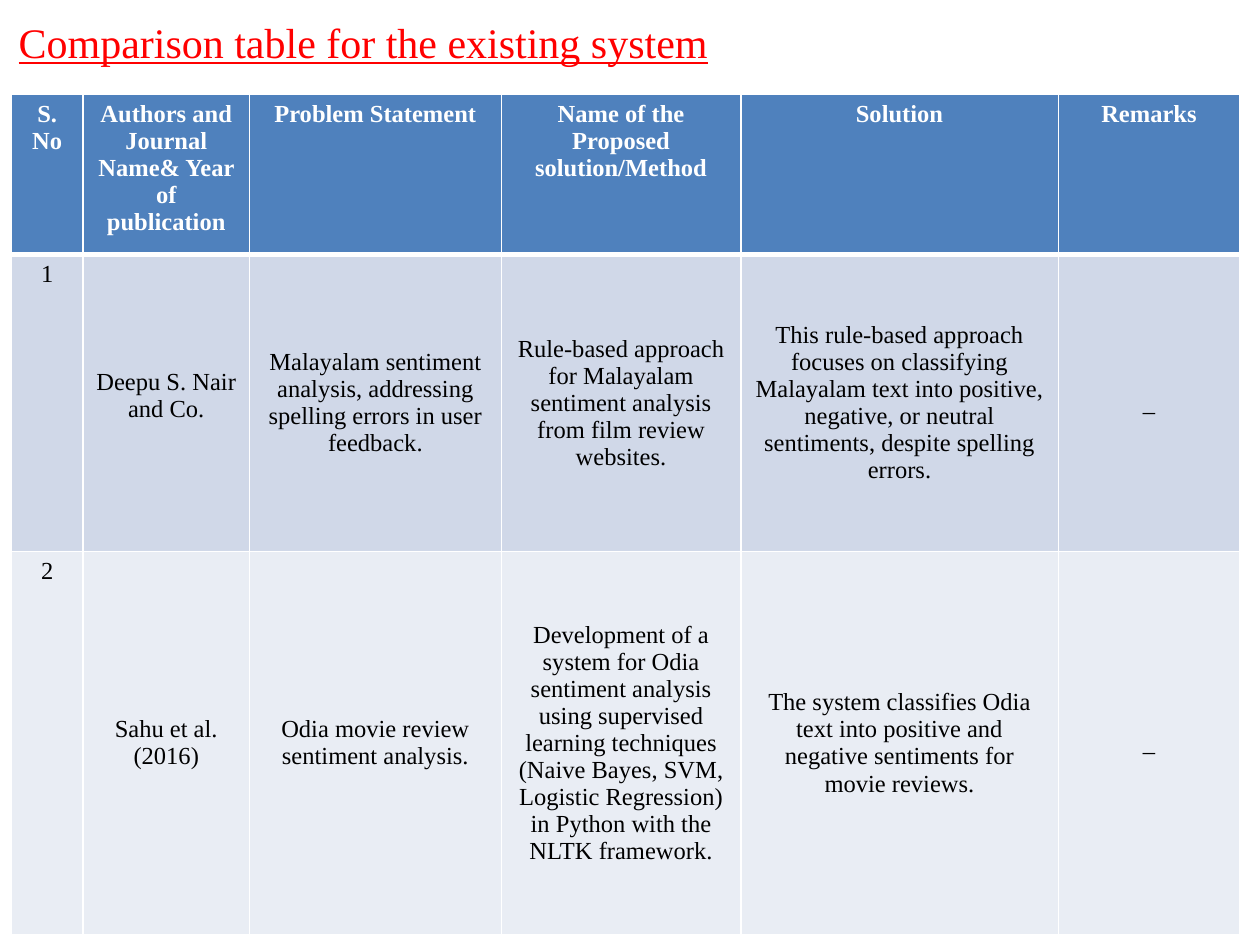
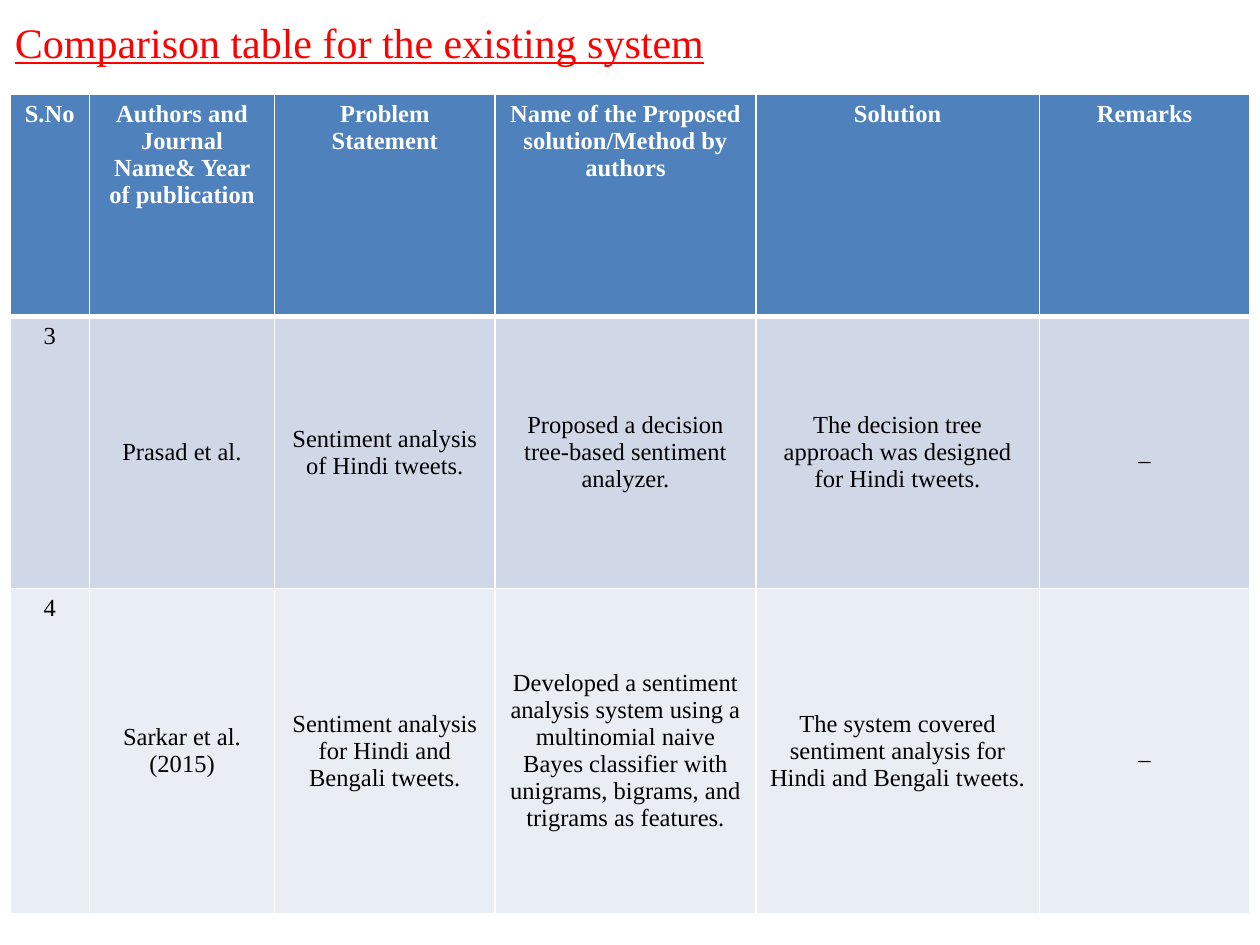
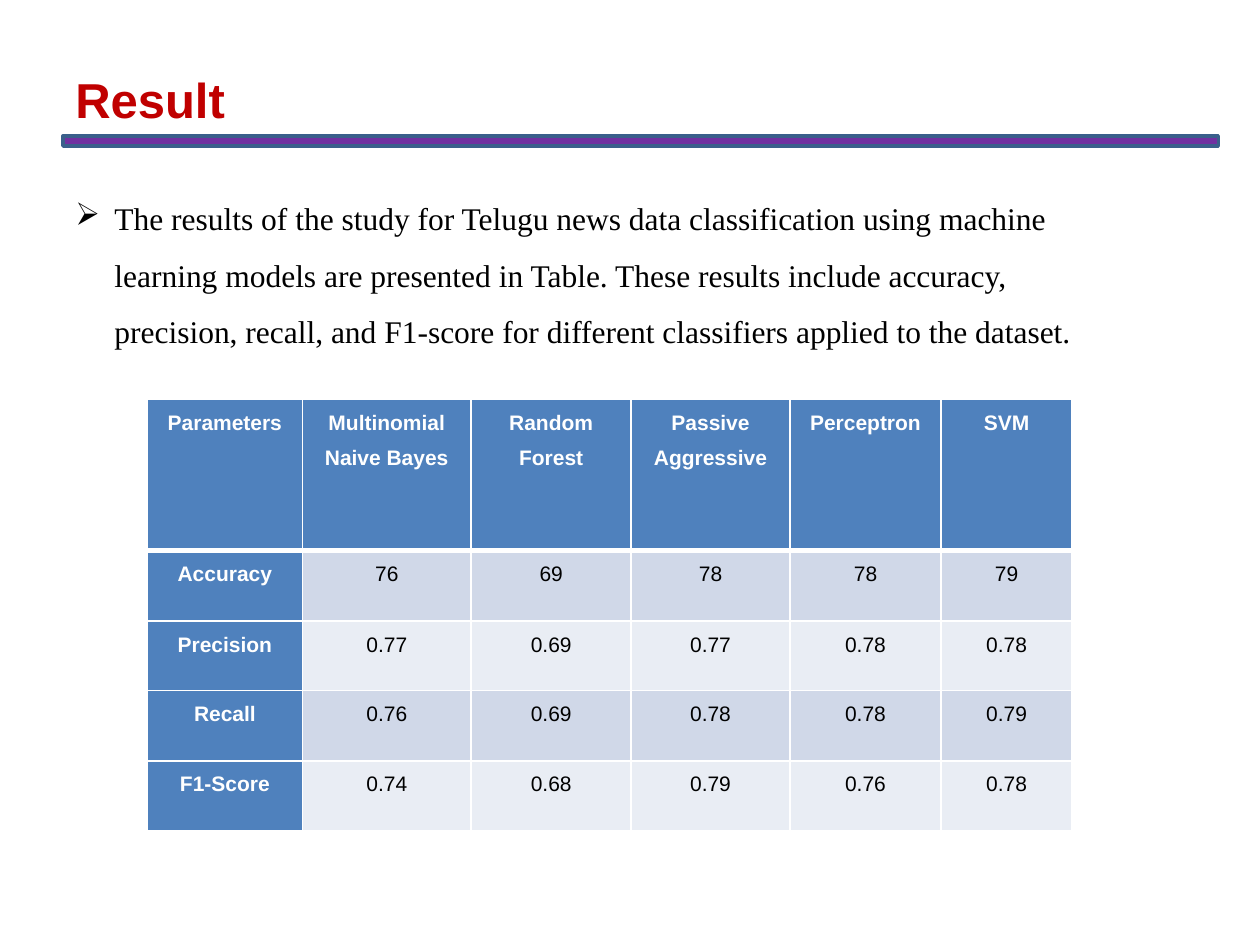
import pptx
import pptx.util
import pptx.dml.color
import pptx.enum.shapes
import pptx.enum.text
import pptx.oxml.ns
import lxml.etree

Inches, Pt = pptx.util.Inches, pptx.util.Pt
ANCHOR = pptx.enum.text.MSO_ANCHOR
ALIGN = pptx.enum.text.PP_ALIGN

COLORS = {
    "red": "FF0000", "dark_red": "C00000", "purple": "7030A0", "edge": "3A5F8B",
    "header": "4F81BD", "band_dark": "D0D8E8", "band_light": "E9EDF4",
    "white": "FFFFFF", "black": "000000",
}
SERIF, SANS = "Times New Roman", "Arial"

SURVEY_TITLE = "Comparison table for the existing system"
SURVEYS = [
    {
        "title_left": 0.05, "left": 0.09,
        "cols": [0.57, 1.32, 2, 1.9, 2.52, 1.44],
        "heights": [1.26, 2.36, 3.04],
        "tops": {(1, 1): 0.91},
        "rows": [
            ["S.\nNo", "Authors and Journal Name& Year of publication", "Problem Statement",
             "Name of the Proposed solution/Method", "Solution", "Remarks"],
            ["1", "Deepu S. Nair and Co.",
             "Malayalam sentiment analysis, addressing spelling errors in user feedback.",
             "Rule-based approach for Malayalam sentiment analysis from film review websites.",
             "This rule-based approach focuses on classifying Malayalam text into positive, "
             "negative, or neutral sentiments, despite spelling errors.", "_"],
            ["2", "Sahu et al.\n(2016)", "Odia movie review sentiment analysis.",
             "Development of a system for Odia sentiment analysis using supervised learning "
             "techniques (Naive Bayes, SVM, Logistic Regression) in Python with the NLTK framework.",
             "The system classifies Odia text into positive and negative sentiments for "
             "movie reviews.", "_"],
        ],
    },
    {
        "title_left": 0.02, "left": 0.08,
        "cols": [0.63, 1.47, 1.75, 2.07, 2.25, 1.67],
        "heights": [1.76, 2.16, 2.58],
        "tops": {},
        "rows": [
            ["S.No", "Authors and Journal Name& Year of publication", "Problem Statement",
             "Name of the Proposed solution/Method by authors", "Solution", "Remarks"],
            ["3", "Prasad et al.", "Sentiment analysis of Hindi tweets.",
             "Proposed a decision tree-based sentiment analyzer.",
             "The decision tree approach was designed for Hindi tweets.", "_"],
            ["4", "Sarkar et al.\n(2015)", "Sentiment analysis for Hindi and Bengali tweets.",
             "Developed a sentiment analysis system using a multinomial naive Bayes classifier "
             "with unigrams, bigrams, and trigrams as features.",
             "The system covered sentiment analysis for Hindi and Bengali tweets.", "_"],
        ],
    },
]

RESULT_TITLE = "Result"
RESULT_TEXT = (
    "The results of the study for Telugu news data classification using machine learning "
    "models are presented in Table. These results include accuracy, precision, recall, and "
    "F1-score for different classifiers applied to the dataset.")
RESULT_COLS = [1.23, 1.34, 1.27, 1.26, 1.2, 1.04]
RESULT_HEIGHTS = [1.2, 0.56, 0.55, 0.56, 0.55]
RESULT_ROWS = [
    ["Parameters", "Multinomial Naive Bayes", "Random Forest", "Passive Aggressive",
     "Perceptron", "SVM"],
    ["Accuracy", "76", "69", "78", "78", "79"],
    ["Precision", "0.77", "0.69", "0.77", "0.78", "0.78"],
    ["Recall", "0.76", "0.69", "0.78", "0.78", "0.79"],
    ["F1-Score", "0.74", "0.68", "0.79", "0.76", "0.78"],
]


def rgb(name):
    """Return the named colour."""
    return pptx.dml.color.RGBColor.from_string(COLORS[name])


def put_text(tf, text, size=14, font=SERIF, color="black", bold=False, underline=False,
             align=None, spacing=None, bullet=None):
    """Write text into a frame, one paragraph a line."""
    tf.word_wrap = True
    for i, line in enumerate(text.split("\n")):
        p = tf.add_paragraph() if i else tf.paragraphs[0]
        p.alignment = align
        if spacing:
            p.line_spacing = spacing
        if bullet:
            pPr = p._p.get_or_add_pPr()
            pPr.set("marL", str(Inches(0.31)))
            pPr.set("indent", str(-Inches(0.31)))
            bu = lxml.etree.SubElement(pPr, pptx.oxml.ns.qn("a:buChar"))
            bu.set("char", bullet)
        r = p.add_run()
        r.text = line
        r.font.size, r.font.name = Pt(size), font
        r.font.bold, r.font.underline = bold, underline
        r.font.color.rgb = rgb(color)


def add_text(s, box, text, **style):
    """Add a text box that fits its text."""
    tf = s.shapes.add_textbox(*map(Inches, box)).text_frame
    put_text(tf, text, **style)
    tf.auto_size = pptx.enum.text.MSO_AUTO_SIZE.SHAPE_TO_FIT_TEXT


def add_borders(cell, widths):
    """Give a cell white edges; widths maps an edge letter to points."""
    tcPr = cell._tc.get_or_add_tcPr()
    for edge, width in widths.items():
        ln = lxml.etree.SubElement(tcPr, pptx.oxml.ns.qn("a:ln" + edge))
        ln.set("w", str(Pt(width)))
        fill = lxml.etree.SubElement(ln, pptx.oxml.ns.qn("a:solidFill"))
        clr = lxml.etree.SubElement(fill, pptx.oxml.ns.qn("a:srgbClr"))
        clr.set("val", COLORS["white"])


def add_grid(s, left, top, cols, heights, rows, head_col=False, middle=False, inset=None,
             tops=None, **style):
    """Add a banded table with a header row and, if asked, a header column."""
    box = left, top, sum(cols), sum(heights)
    table = s.shapes.add_table(len(rows), len(cols), *map(Inches, box)).table
    table.first_col = head_col
    for column, width in zip(table.columns, cols):
        column.width = Inches(width)
    for i, (row, height) in enumerate(zip(rows, heights)):
        table.rows[i].height = Inches(height)
        for j, text in enumerate(row):
            cell = table.cell(i, j)
            head = i == 0 or (head_col and j == 0)
            add_borders(cell, {"L": 1, "R": 1, "T": 3 if i == 1 else 1, "B": 1 if i else 3})
            cell.fill.solid()
            cell.fill.fore_color.rgb = rgb(
                "header" if head else "band_dark" if i % 2 else "band_light")
            if inset:
                cell.margin_left = cell.margin_right = Inches(inset)
                cell.margin_top = cell.margin_bottom = 0
            if tops and (i, j) in tops:
                cell.margin_top = Inches(tops[i, j])
            elif middle and i and j:
                cell.vertical_anchor = ANCHOR.MIDDLE
            put_text(cell.text_frame, text, color="white" if head else "black", bold=head,
                     align=ALIGN.CENTER, **style)


def survey_slide(prs, survey):
    """Build one slide of the literature comparison."""
    s = prs.slides.add_slide(prs.slide_layouts[6])
    add_text(s, (survey["title_left"], 0.08, 9.83, 0.5), SURVEY_TITLE, size=24, color="red",
             underline=True)
    add_grid(s, survey["left"], 0.75, survey["cols"], survey["heights"], survey["rows"],
             middle=True, tops=survey["tops"])


def result_slide(prs):
    """Build the slide with the classifier scores."""
    s = prs.slides.add_slide(prs.slide_layouts[6])
    rule = s.shapes.add_shape(pptx.enum.shapes.MSO_SHAPE.RECTANGLE,
                              *map(Inches, (0.5, 1.08, 9.17, 0.08)))
    rule.shadow.inherit = False
    rule.fill.solid()
    rule.fill.fore_color.rgb = rgb("purple")
    rule.line.color.rgb = rgb("edge")
    rule.line.width = Pt(2)
    add_text(s, (0.5, 0.5, 3.33, 0.57), RESULT_TITLE, size=28, font=SANS, color="dark_red",
             bold=True)
    add_text(s, (0.5, 1.38, 8.42, 1.41), RESULT_TEXT, size=18, spacing=1.5, bullet="\u27a2")
    add_grid(s, 1.17, 3.17, RESULT_COLS, RESULT_HEIGHTS, RESULT_ROWS, head_col=True,
             inset=0.07, size=12, font=SANS, spacing=1.5)


prs = pptx.Presentation()
prs.slide_width, prs.slide_height = Inches(10), Inches(7.5)
for survey in SURVEYS:
    survey_slide(prs, survey)
result_slide(prs)
prs.save("out.pptx")
